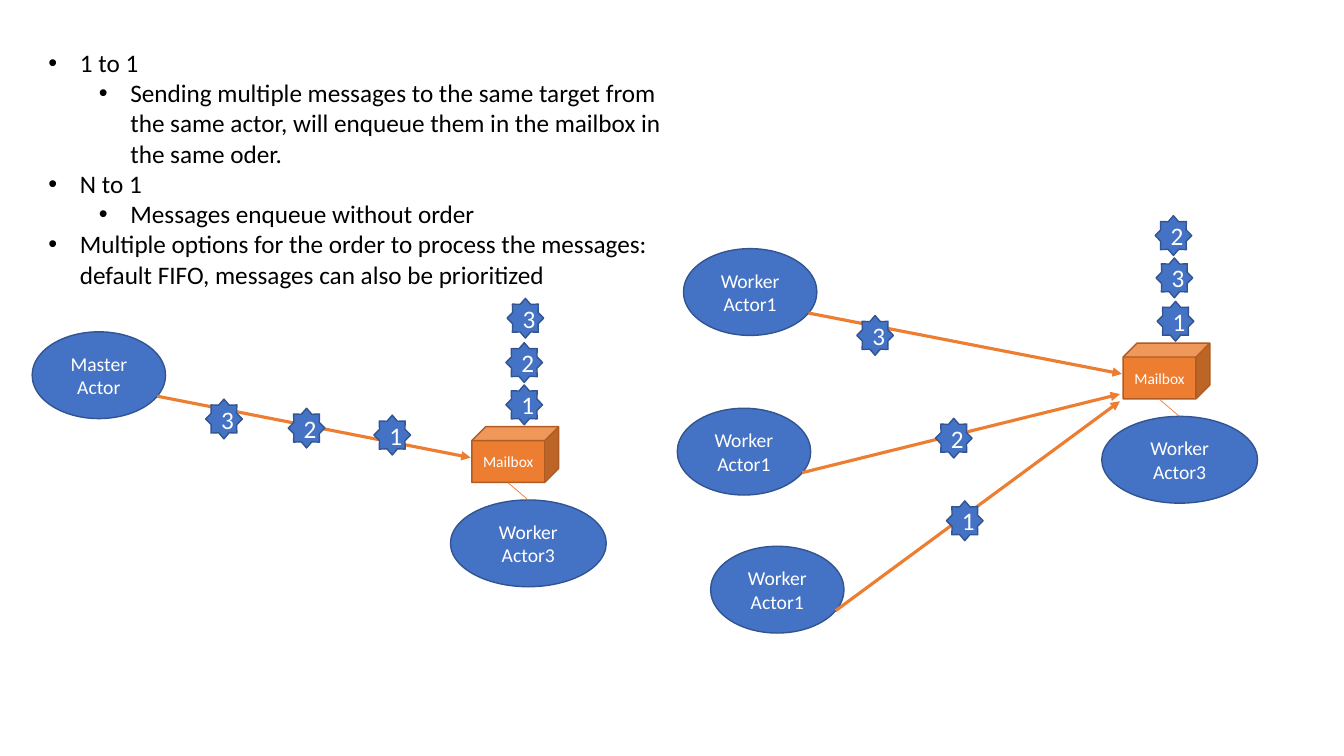
import pptx
import pptx.dml.color
import pptx.enum.shapes
import pptx.enum.text
import pptx.oxml.xmlchemy
import pptx.util

Pt = pptx.util.Pt
SHAPE = pptx.enum.shapes.MSO_SHAPE
FONT = "Calibri"
COLORS = {
    "blue": "4472C4",
    "blue_line": "325491",
    "orange": "ED7D31",
    "orange_line": "AF5C24",
    "white": "FFFFFF",
    "black": "000000",
}
NOTES = [
    (0, "1 to 1"),
    (1, "Sending multiple messages to the same target from the same actor, "
        "will enqueue them in the mailbox in the same oder."),
    (0, "N to 1"),
    (1, "Messages enqueue without order"),
    (0, "Multiple options for the order to process the messages: "
        "default FIFO, messages can also be prioritized"),
]
SENDERS = [
    ("Master Actor", (23, 237), (336.2, 326.9)),
    ("Worker Actor1", (488.2, 177.6), (801.4, 267.1)),
    ("Worker Actor1", (483.8, 291.6), (800, 281.5)),
    ("Worker Actor1", (507.6, 390.2), (800, 286.6)),
]
RECEIVERS = [(321.8, 357.1), (787, 297.4)]
MESSAGES = [
    ("1", 267.1, 296.6), ("2", 205.9, 291.6), ("3", 146.9, 285.1),
    ("1", 361.4, 275), ("2", 361.4, 244.8), ("3", 362.2, 213.1),
    ("1", 826.6, 215.3), ("3", 825.8, 184.3), ("2", 825.1, 154.1),
    ("3", 612, 225.4), ("2", 668.2, 298.8), ("1", 676.1, 357.8),
]


def rgb(name):
    return pptx.dml.color.RGBColor.from_string(COLORS[name])


def add_element(parent, tag, **attributes):
    el = pptx.oxml.xmlchemy.OxmlElement(tag)
    for key, value in attributes.items():
        el.set(key, value)
    parent.append(el)


def add_run(p, text, size, color):
    r = p.add_run()
    r.text = text
    r.font.name = FONT
    r.font.size = Pt(size)
    r.font.color.rgb = rgb(color)


def add_figure(s, kind, box, text, size, color="blue"):
    sp = s.shapes.add_shape(kind, *map(Pt, box))
    sp.shadow.inherit = False
    sp.fill.solid()
    sp.fill.fore_color.rgb = rgb(color)
    sp.line.color.rgb = rgb(color + "_line")
    sp.line.width = Pt(1)
    tf = sp.text_frame
    tf.word_wrap = True
    tf.vertical_anchor = pptx.enum.text.MSO_ANCHOR.MIDDLE
    p = tf.paragraphs[0]
    p.alignment = pptx.enum.text.PP_ALIGN.CENTER
    add_run(p, text, size, "white")


def add_line(s, start, end, width, arrow=False):
    cx = s.shapes.add_connector(
        pptx.enum.shapes.MSO_CONNECTOR.STRAIGHT, *map(Pt, start + end))
    cx.line.color.rgb = rgb("orange")
    cx.line.width = Pt(width)
    spPr = cx._element.spPr
    if arrow:
        add_element(spPr.get_or_add_ln(), "a:tailEnd", type="triangle")
    add_element(spPr, "a:effectLst")


def add_sender(s, name, corner, target):
    x, y = corner
    add_figure(s, SHAPE.OVAL, (x, y, 95.3, 62), name, 14)
    add_line(s, (x + 89.3, y + 46), target, 2.25, arrow=True)


def add_receiver(s, x, y):
    add_figure(s, SHAPE.OVAL, (x, y, 111.3, 62), "Worker Actor3", 14)
    add_figure(s, SHAPE.CUBE, (x + 15.2, y - 52.3, 62, 39.8),
               "Mailbox", 11, "orange")
    add_line(s, (x + 41, y - 12.3), (x + 55.5, y), 0.5)


def add_bullet(p):
    pPr = p._p.get_or_add_pPr()
    pPr.set("marL", str(Pt(22.5 + 36 * p.level)))
    pPr.set("indent", str(Pt(-22.5)))
    add_element(pPr, "a:buFont", typeface="Arial")
    add_element(pPr, "a:buChar", char="•")


def add_notes(s):
    body = s.placeholders[1]
    body.left, body.top, body.width, body.height = map(
        Pt, (27.4, 30.2, 461.5, 181.4))
    tf = body.text_frame
    tf.word_wrap = True
    tf.auto_size = pptx.enum.text.MSO_AUTO_SIZE.NONE
    tf.vertical_anchor = pptx.enum.text.MSO_ANCHOR.TOP
    for i, (level, text) in enumerate(NOTES):
        p = tf.add_paragraph() if i else tf.paragraphs[0]
        p.level = level
        p.alignment = pptx.enum.text.PP_ALIGN.LEFT
        p.space_before = p.space_after = Pt(0)
        p.line_spacing = 1.0
        add_bullet(p)
        add_run(p, text, 18, "black")


def main():
    prs = pptx.Presentation()
    prs.slide_width, prs.slide_height = Pt(960), Pt(540)
    s = prs.slides.add_slide(prs.slide_layouts[1])
    title = s.shapes.title._element
    title.getparent().remove(title)
    add_notes(s)
    for name, corner, target in SENDERS:
        add_sender(s, name, corner, target)
    for x, y in RECEIVERS:
        add_receiver(s, x, y)
    for number, x, y in MESSAGES:
        add_figure(s, SHAPE.STAR_8_POINT, (x, y, 26.2, 28.4), number, 18)
    prs.save("out.pptx")


if __name__ == "__main__":
    main()
